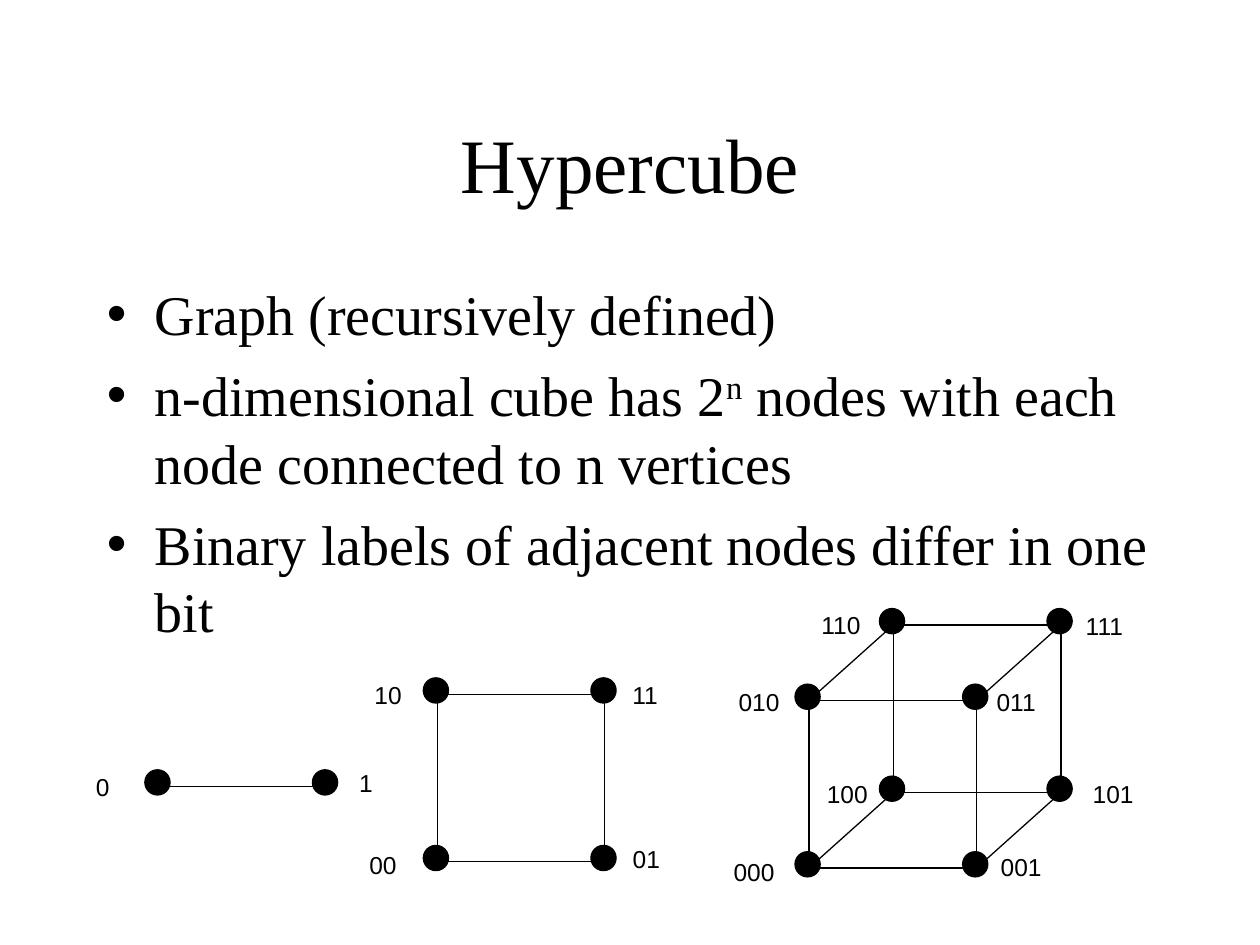
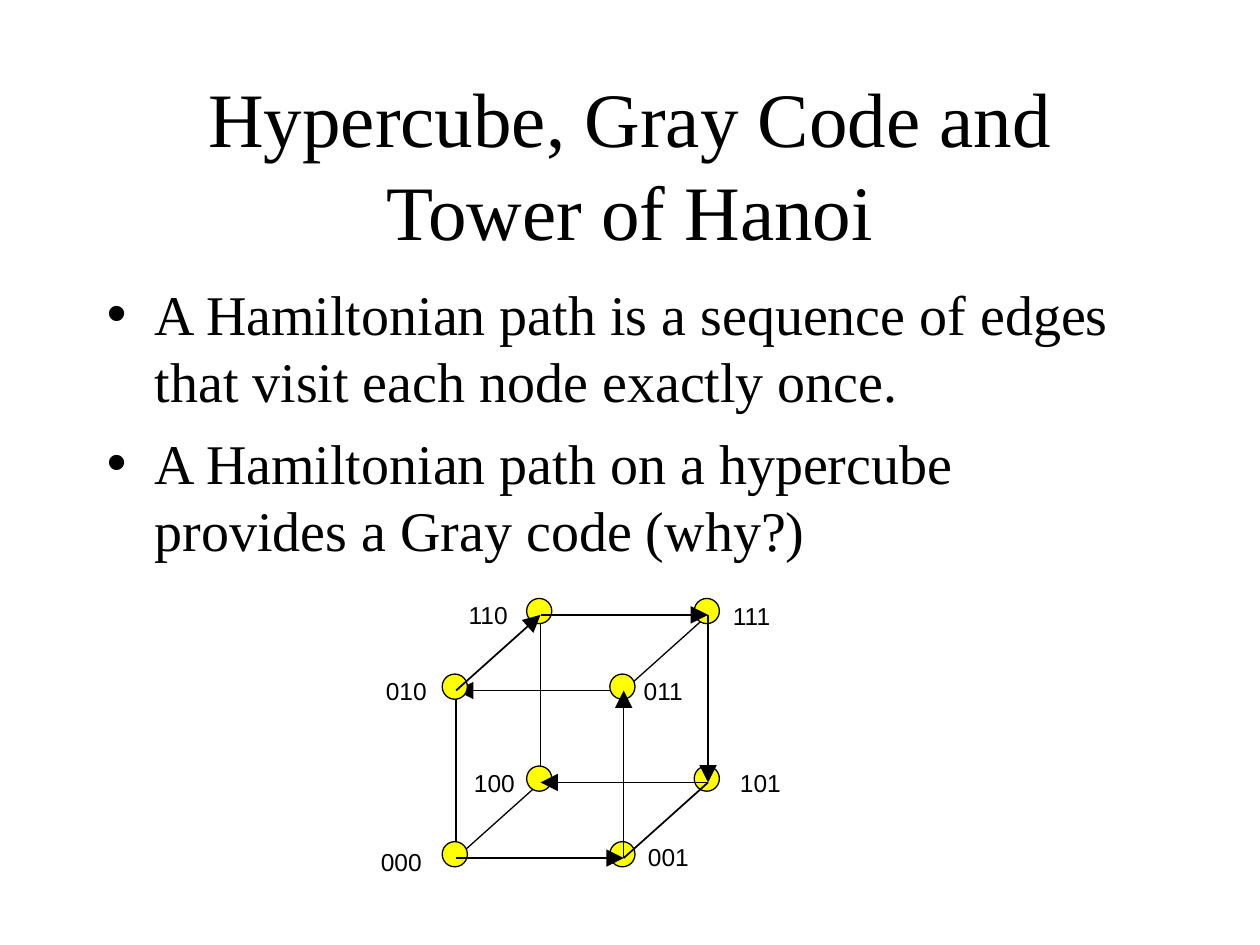
from itertools import combinations

from lxml.etree import SubElement
from pptx import Presentation
from pptx.dml.color import RGBColor
from pptx.enum.shapes import MSO_CONNECTOR, MSO_SHAPE
from pptx.enum.text import MSO_ANCHOR, MSO_AUTO_SIZE, PP_ALIGN
from pptx.oxml.ns import qn
from pptx.util import Inches, Pt

COLORS = {name: RGBColor.from_string(value) for name, value in
          {"ink": "000000", "path_node": "FFFF00"}.items()}
SERIF, SANS = "Times New Roman", "Arial"
NODE_SIZE = 0.2
BIT_STEPS = [(1.33, 0), (0, -1.33), (0.67, -0.6)]
LABEL_OFFSETS = {
    "0": (-0.6, -0.16), "1": (1.49, -0.19),
    "00": (-0.64, -0.14), "01": (1.45, -0.19),
    "10": (-0.6, -1.49), "11": (1.44, -1.49),
    "000": (-0.7, -0.14), "001": (1.42, -0.18),
    "010": (-0.66, -1.49), "011": (1.38, -1.49),
    "100": (0.04, -0.76), "101": (2.15, -0.76),
    "110": (-0.01, -2.1), "111": (2.08, -2.09),
}


def add_nodes(slide, origin, dimension, fill):
    corners = {}
    for number in range(2 ** dimension):
        label = f"{number:0{dimension}b}"
        steps = [step for bit, step in zip(reversed(label), BIT_STEPS) if bit == "1"]
        x = origin[0] + sum(step[0] for step in steps)
        y = origin[1] + sum(step[1] for step in steps)
        corners[label] = (x, y)
        node = slide.shapes.add_shape(
            MSO_SHAPE.OVAL, Inches(x - 0.11), Inches(y - 0.13),
            Inches(NODE_SIZE), Inches(NODE_SIZE))
        node.shadow.inherit = False
        node.fill.solid()
        node.fill.fore_color.rgb = fill
        node.line.color.rgb = COLORS["ink"]
        node.line.width = Pt(0.75)
        offset = LABEL_OFFSETS[label]
        box = slide.shapes.add_textbox(
            Inches(origin[0] + offset[0]), Inches(origin[1] + offset[1]),
            Inches(0.2 + 0.11 * dimension), Inches(0.34))
        box.text_frame.word_wrap = False
        box.text_frame.auto_size = MSO_AUTO_SIZE.SHAPE_TO_FIT_TEXT
        paragraph = box.text_frame.paragraphs[0]
        paragraph.text = label
        paragraph.alignment = PP_ALIGN.CENTER
        paragraph.font.name = SANS
        paragraph.font.size = Pt(14)
        paragraph.font.color.rgb = COLORS["ink"]
    return corners


def add_edge(slide, start, end, width=0.75, arrow=False, behind=False):
    edge = slide.shapes.add_connector(
        MSO_CONNECTOR.STRAIGHT, *(Inches(value) for value in (*start, *end)))
    edge.line.color.rgb = COLORS["ink"]
    edge.line.width = Pt(width)
    if arrow:
        SubElement(edge.line._get_or_add_ln(), qn("a:tailEnd"),
                   type="triangle", w="lg", len="lg")
    SubElement(edge._element.spPr, qn("a:effectLst"))
    if behind:
        slide.shapes._spTree.insert(2, edge._element)


presentation = Presentation()
presentation.slide_width = Inches(10)
presentation.slide_height = Inches(7.5)

contents = [
    ("Hypercube", [
        ["Graph (recursively defined)"],
        ["n-dimensional cube has 2", "n", " nodes with each node connected to n vertices"],
        ["Binary labels of adjacent nodes differ in one bit"],
    ]),
    ("Hypercube, Gray Code and Tower of Hanoi", [
        ["A Hamiltonian path is a sequence of edges that visit each node exactly once."],
        ["A Hamiltonian path on a hypercube provides a Gray code (why?)"],
    ]),
]

for title_text, bullets in contents:
    slide = presentation.slides.add_slide(presentation.slide_layouts[5])
    title = slide.shapes.title
    title.left, title.top = Inches(0.75), Inches(0.67)
    title.width, title.height = Inches(8.5), Inches(1.25)
    title.text_frame.text = title_text
    title.text_frame.auto_size = MSO_AUTO_SIZE.NONE
    title.text_frame.vertical_anchor = MSO_ANCHOR.MIDDLE
    paragraph = title.text_frame.paragraphs[0]
    paragraph.alignment = PP_ALIGN.CENTER
    paragraph.font.name = SERIF
    paragraph.font.size = Pt(44)
    paragraph.font.color.rgb = COLORS["ink"]

    body = slide.shapes.add_textbox(Inches(0.75), Inches(2.17), Inches(8.5), Inches(4.5))
    body.text_frame.word_wrap = True
    for index, pieces in enumerate(bullets):
        paragraph = body.text_frame.add_paragraph() if index else body.text_frame.paragraphs[0]
        if index:
            paragraph.space_before = Pt(8)
        properties = paragraph._p.get_or_add_pPr()
        properties.set("marL", str(Inches(0.38)))
        properties.set("indent", str(Inches(-0.38)))
        SubElement(properties, qn("a:buFont"), typeface=SANS)
        SubElement(properties, qn("a:buChar"), char="•")
        paragraph.font.name = SERIF
        paragraph.font.size = Pt(32)
        paragraph.font.color.rgb = COLORS["ink"]
        for position, piece in enumerate(pieces):
            run = paragraph.add_run()
            run.text = piece
            if position == 1:
                run.font._element.set("baseline", "30000")

cube_slide, path_slide = presentation.slides

for dimension, origin in [(3, (6.42, 6.89)), (2, (3.47, 6.84)), (1, (1.26, 6.24))]:
    corners = add_nodes(cube_slide, origin, dimension, COLORS["ink"])
    for start, end in combinations(corners, 2):
        if sum(a != b for a, b in zip(start, end)) == 1:
            add_edge(cube_slide, corners[start], corners[end])

corners = add_nodes(path_slide, (3.62, 6.81), 3, COLORS["path_node"])
path_edges = [
    ("000", "010", 0.75, False, True),
    ("000", "100", 0.75, False, True),
    ("011", "111", 0.75, False, True),
    ("100", "110", 1, False, True),
    ("011", "010", 1, True, True),
    ("000", "001", 1, True, False),
    ("001", "101", 1, False, False),
    ("101", "100", 1, True, False),
    ("001", "011", 0.75, True, False),
    ("010", "110", 1, True, False),
    ("110", "111", 1, True, False),
    ("111", "101", 1, True, False),
]
for start, end, width, arrow, behind in path_edges:
    add_edge(path_slide, corners[start], corners[end], width, arrow, behind)

presentation.save("out.pptx")
